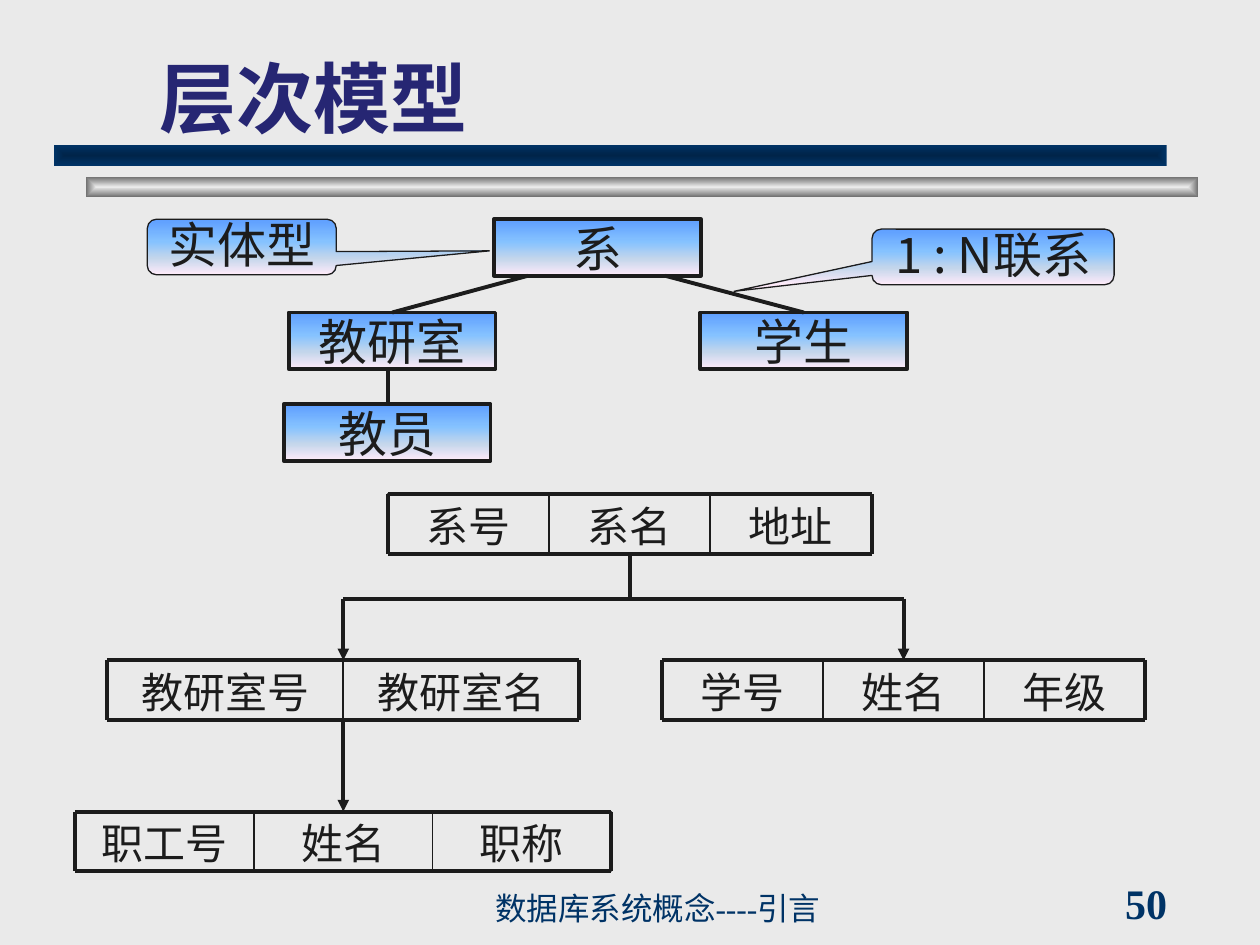
from dataclasses import dataclass
from typing import Optional

from pptx import Presentation
from pptx.dml.color import RGBColor
from pptx.enum.shapes import MSO_CONNECTOR as Connector, MSO_SHAPE as Preset
from pptx.enum.text import MSO_ANCHOR as Anchor, PP_ALIGN as Align
from pptx.oxml import parse_xml
from pptx.oxml.ns import nsdecls, qn
from pptx.util import Cm, Pt

TOP, BOTTOM = 0, 2


@dataclass(frozen=True)
class Theme:
    background: str = "EAEAEA"
    ink: str = "1C1C1C"
    navy: str = "003366"
    title: str = "262673"
    sky: tuple = ((0, "5E9EFF"), (40, "85C2FF"), (70, "C4D6EB"), (100, "FFEBFA"))
    navy_bar: tuple = ((0, "002449"), (100, "003366"))
    grey_bar: tuple = ((0, "EAEAEA"), (100, "6C6C6C"))
    sans: str = "Noto Sans CJK JP"
    serif: str = "Times New Roman"
    heading: str = "Roboto"
    title_size: float = 44
    node_size: float = 28
    field_size: float = 24
    footer_size: float = 18
    thick: float = 2.25
    divider: float = 1
    thin: float = 0.75


THEME = Theme()


@dataclass(frozen=True)
class Box:
    """Position and size in centimetres."""
    left: float
    top: float
    width: float
    height: float

    def lengths(self) -> tuple:
        return Cm(self.left), Cm(self.top), Cm(self.width), Cm(self.height)


@dataclass(frozen=True)
class Record:
    left: float
    top: float
    field_width: float
    fields: tuple
    height: float = 1.2


@dataclass(frozen=True)
class Callout:
    text: str
    box: Box
    tip: tuple


NODE_WIDTH, NODE_HEIGHT = 4.17, 1.14
NODES = {"系": (9.96, 4.42), "教研室": (5.82, 6.3),
         "学生": (14.12, 6.3), "教员": (5.72, 8.15)}
CALLOUTS = (
    Callout("1 : N联系", Box(17.58, 4.62, 4.88, 1.12), (-1.07, 0.62)),
    Callout("实体型", Box(2.97, 4.42, 3.81, 1.12), (1.31, 0.07)),
)
DEPARTMENT = Record(7.82, 9.96, 3.25, ("系号", "系名", "地址"))
OFFICE = Record(2.16, 13.31, 4.76, ("教研室号", "教研室名"))
STUDENT = Record(13.34, 13.31, 3.25, ("学号", "姓名", "年级"))
TEACHER = Record(1.52, 16.36, 3.6, ("职工号", "姓名", "职称"))
BUS_TOP = 12.07


def write(shape, text: str, *, size: float, font: str, color: str = THEME.ink,
          bold: bool = False, align=Align.LEFT, anchor=Anchor.TOP,
          insets: tuple = (0.25, 0.13, 0.25, 0.13)) -> None:
    frame = shape.text_frame
    frame.word_wrap = True
    frame.vertical_anchor = anchor
    (frame.margin_left, frame.margin_top,
     frame.margin_right, frame.margin_bottom) = map(Cm, insets)
    paragraph = frame.paragraphs[0]
    paragraph.alignment = align
    run = paragraph.add_run()
    run.text = text
    run.font.size, run.font.name, run.font.bold = Pt(size), font, bold
    run.font.color.rgb = RGBColor.from_string(color)
    run.font._element.find(qn("a:latin")).addnext(
        parse_xml(f'<a:ea {nsdecls("a")} typeface="{THEME.sans}"/>'))


def fill_gradient(shape, stops: tuple, direction: str) -> None:
    stop_list = "".join(
        f'<a:gs pos="{position * 1000}"><a:srgbClr val="{color}"/></a:gs>'
        for position, color in stops)
    gradient = parse_xml(f'<a:gradFill {nsdecls("a")} rotWithShape="1">'
                         f'<a:gsLst>{stop_list}</a:gsLst>{direction}</a:gradFill>')
    shape.element.spPr.find(qn("a:prstGeom")).addnext(gradient)


DOWNWARD = '<a:lin ang="5400000" scaled="1"/>'
FROM_CENTRE = ('<a:path path="shape">'
               '<a:fillToRect l="50000" t="50000" r="50000" b="50000"/></a:path>')


def add_block(slide, box: Box, *, preset=Preset.RECTANGLE, stops: tuple = (),
              direction: str = DOWNWARD, line: float = 0):
    """Add a preset shape; no stops means no fill, zero line means no outline."""
    shape = slide.shapes.add_shape(preset, *box.lengths())
    shape.shadow.inherit = False
    if stops:
        fill_gradient(shape, stops, direction)
    else:
        shape.fill.background()
    if line:
        shape.line.color.rgb = RGBColor.from_string(THEME.ink)
        shape.line.width = Pt(line)
    else:
        shape.line.fill.background()
    return shape


def add_line(slide, start: tuple, end: tuple, *, width: float = THEME.thick,
             arrow: bool = False, begin_at: Optional[tuple] = None,
             end_at: Optional[tuple] = None) -> None:
    """Draw a line; begin_at and end_at are (shape, side) pairs to join."""
    line = slide.shapes.add_connector(Connector.STRAIGHT, *map(Cm, start + end))
    line.line.color.rgb = RGBColor.from_string(THEME.ink)
    line.line.width = Pt(width)
    if arrow:
        line.line._get_or_add_ln().append(
            parse_xml(f'<a:tailEnd {nsdecls("a")} type="triangle"/>'))
    line._element.spPr.append(parse_xml(f'<a:effectLst {nsdecls("a")}/>'))
    if begin_at:
        line.begin_connect(*begin_at)
    if end_at:
        line.end_connect(*end_at)


def add_text(slide, box: Box, text: str, **style) -> None:
    write(slide.shapes.add_textbox(*box.lengths()), text, **style)


def add_record(slide, record: Record) -> list:
    """Draw a row of fields with a heavy frame and return the field shapes."""
    edges = [record.left + index * record.field_width
             for index in range(len(record.fields) + 1)]
    bottom = record.top + record.height
    cells = []
    for left, field in zip(edges, record.fields):
        cell = add_block(slide, Box(left, record.top, record.field_width, record.height),
                         line=THEME.thin)
        write(cell, field, size=THEME.field_size, font=THEME.serif, align=Align.CENTER)
        cells.append(cell)
    for level in (record.top, bottom):
        add_line(slide, (edges[0], level), (edges[-1], level))
    for edge in edges:
        outer = edge in (edges[0], edges[-1])
        add_line(slide, (edge, record.top), (edge, bottom),
                 width=THEME.thick if outer else THEME.divider)
    return cells


def add_frame(slide) -> None:
    """Draw the title, its two bars and the footer."""
    for left, top, stops in ((1.73, 3.56, THEME.grey_bar), (1.09, 2.92, THEME.navy_bar)):
        add_block(slide, Box(left, top, 22.43, 0.42), stops=stops, direction=FROM_CENTRE)
    add_text(slide, Box(22.43, 17.78, 2.74, 0.84), "50", size=THEME.field_size,
             font=THEME.serif, color=THEME.navy, bold=True, anchor=Anchor.MIDDLE)
    add_text(slide, Box(9.73, 17.98, 10.36, 0.84), "数据库系统概念----引言",
             size=THEME.footer_size, font=THEME.serif, color=THEME.navy,
             anchor=Anchor.BOTTOM)
    add_text(slide, Box(2.97, 0.84, 21.64, 2.18), "层次模型", size=THEME.title_size,
             font=THEME.heading, color=THEME.title, bold=True, anchor=Anchor.BOTTOM)


def add_records(slide) -> None:
    department, _, student, teacher = [
        add_record(slide, record) for record in (DEPARTMENT, OFFICE, STUDENT, TEACHER)]
    trunk = DEPARTMENT.left + 1.5 * DEPARTMENT.field_width
    office = OFFICE.left + OFFICE.field_width
    right = STUDENT.left + 1.5 * STUDENT.field_width
    add_line(slide, (office, BUS_TOP), (office, OFFICE.top), arrow=True)
    add_line(slide, (right, BUS_TOP), (right, STUDENT.top), arrow=True,
             end_at=(student[1], TOP))
    add_line(slide, (office, BUS_TOP), (right, BUS_TOP))
    add_line(slide, (office, OFFICE.top + OFFICE.height), (office, TEACHER.top),
             arrow=True, end_at=(teacher[1], TOP))
    add_line(slide, (trunk, DEPARTMENT.top + DEPARTMENT.height), (trunk, BUS_TOP),
             begin_at=(department[1], BOTTOM))


def add_tree(slide) -> None:
    nodes = {}
    for name, (left, top) in NODES.items():
        nodes[name] = add_block(slide, Box(left, top, NODE_WIDTH, NODE_HEIGHT),
                                stops=THEME.sky, line=THEME.thick)
        write(nodes[name], name, size=THEME.node_size, font=THEME.sans,
              align=Align.CENTER, anchor=Anchor.MIDDLE, insets=(0, 0, 0, 0))
    add_line(slide, (10.64, 5.56), (7.9, 6.3), end_at=(nodes["教研室"], TOP))
    add_line(slide, (13.41, 5.56), (16.2, 6.3), end_at=(nodes["学生"], TOP))
    add_line(slide, (7.82, 7.44), (7.82, 8.15))
    for callout in CALLOUTS:
        shape = add_block(slide, callout.box, preset=Preset.ROUNDED_RECTANGULAR_CALLOUT,
                          stops=THEME.sky, line=THEME.thin)
        shape.adjustments[0], shape.adjustments[1] = callout.tip
        write(shape, callout.text, size=THEME.node_size, font=THEME.sans,
              align=Align.CENTER, anchor=Anchor.MIDDLE, insets=(0, 0, 0, 0.13))


def main() -> None:
    presentation = Presentation()
    presentation.slide_width, presentation.slide_height = Cm(25.4), Cm(19.05)
    slide = presentation.slides.add_slide(presentation.slide_layouts[6])
    slide.background.fill.solid()
    slide.background.fill.fore_color.rgb = RGBColor.from_string(THEME.background)
    add_frame(slide)
    add_records(slide)
    add_tree(slide)
    presentation.save("out.pptx")


if __name__ == "__main__":
    main()
